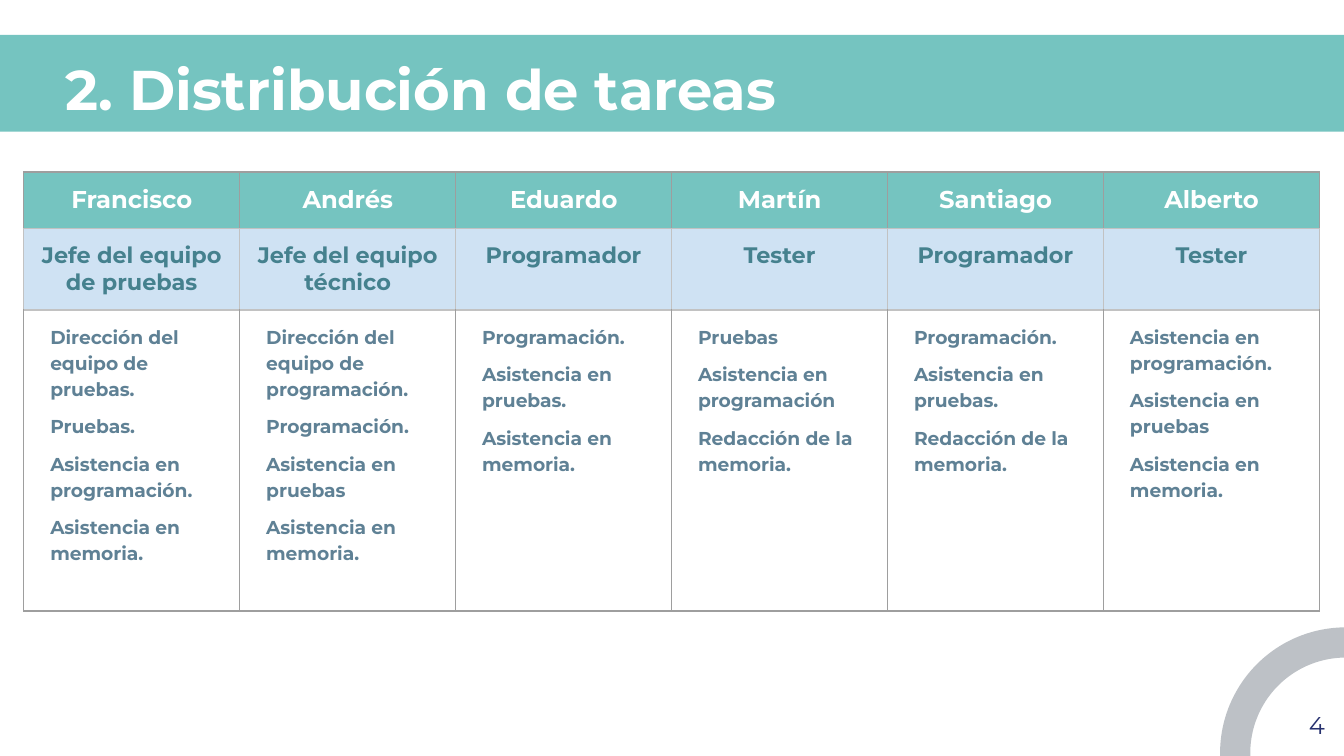
import pptx
import pptx.dml.color
import pptx.enum.shapes
import pptx.enum.text
import pptx.oxml.ns
import pptx.util
from lxml import etree

Cm = pptx.util.Cm
Pt = pptx.util.Pt
RGBColor = pptx.dml.color.RGBColor
SHAPE = pptx.enum.shapes.MSO_SHAPE
ALIGN = pptx.enum.text.PP_ALIGN
qn = pptx.oxml.ns.qn

TEAL = RGBColor(0x75, 0xC4, 0xC0)
SILVER = RGBColor(0xBD, 0xC1, 0xC6)
WHITE = RGBColor(0xFF, 0xFF, 0xFF)
PALE_BLUE = RGBColor(0xCF, 0xE2, 0xF3)
DARK_TEAL = RGBColor(0x45, 0x81, 0x8E)
SLATE = RGBColor(0x5F, 0x81, 0x95)
NAVY = RGBColor(0x27, 0x31, 0x6F)
GREY = RGBColor(0x9E, 0x9E, 0x9E)
LIGHT_GREY = RGBColor(0xC2, 0xC2, 0xC2)

MEMBERS = [
    ("Francisco", "Jefe del equipo de pruebas",
     ["Dirección del equipo de pruebas.", "Pruebas.",
      "Asistencia en programación.", "Asistencia en memoria."]),
    ("Andrés", "Jefe del equipo técnico",
     ["Dirección del equipo de programación.", "Programación.",
      "Asistencia en pruebas", "Asistencia en memoria."]),
    ("Eduardo", "Programador",
     ["Programación.", "Asistencia en pruebas.", "Asistencia en memoria."]),
    ("Martín", "Tester",
     ["Pruebas", "Asistencia en programación", "Redacción de la memoria."]),
    ("Santiago", "Programador",
     ["Programación.", "Asistencia en pruebas.", "Redacción de la memoria."]),
    ("Alberto", "Tester",
     ["Asistencia en programación.", "Asistencia en pruebas",
      "Asistencia en memoria."]),
]
ROW_HEIGHTS = [1.07, 1.54, 5.69]


def write(tf, lines, size, color, bold=False, align=ALIGN.LEFT,
          indent=0, spacing=None, gap=0):
    """Fill a text frame with one paragraph per line; gap is in points."""
    for i, line in enumerate(lines):
        p = tf.paragraphs[0] if i == 0 else tf.add_paragraph()
        p.alignment = align
        if indent:
            p._p.get_or_add_pPr().set("marL", str(Cm(indent)))
        if spacing:
            p.line_spacing = spacing
        if gap and i:
            p.space_before = Pt(gap)
        r = p.add_run()
        r.text = line
        r.font.name = "Montserrat"
        r.font.size = Pt(size)
        r.font.bold = bold
        r.font.color.rgb = color


class Deck:
    margin = Cm(0.25)
    border = Pt(0.75)

    def __init__(self, s):
        self.s = s

    def shape(self, kind, x, y, w, h, color, adjustments=()):
        sp = self.s.shapes.add_shape(kind, Cm(x), Cm(y), Cm(w), Cm(h))
        sp.shadow.inherit = False
        sp.fill.solid()
        sp.fill.fore_color.rgb = color
        sp.line.fill.background()
        for i, value in enumerate(adjustments):
            sp.adjustments[i] = value

    def text(self, line, x, y, w, h, **style):
        tf = self.s.shapes.add_textbox(Cm(x), Cm(y), Cm(w), Cm(h)).text_frame
        tf.word_wrap = True
        tf.margin_left = tf.margin_right = self.margin
        tf.margin_top = tf.margin_bottom = self.margin
        write(tf, [line], **style)

    def table(self, rows, x, y, w, heights):
        frame = self.s.shapes.add_table(
            len(rows), len(rows[0]), Cm(x), Cm(y), Cm(w), Cm(sum(heights)))
        table = frame.table
        table.first_row = table.horz_banding = False
        for column in table.columns:
            column.width = Cm(w / len(rows[0]))
        for row, height in zip(table.rows, heights):
            row.height = Cm(height)
        return table

    def cell(self, cell, lines, fill, edges, **style):
        """Edges are the left, right, top and bottom border colours."""
        cell.margin_left = cell.margin_right = self.margin
        cell.margin_top = cell.margin_bottom = self.margin
        tcPr = cell._tc.get_or_add_tcPr()
        for side, color in zip("LRTB", edges):
            ln = etree.SubElement(tcPr, qn(f"a:ln{side}"), w=str(self.border))
            solid = etree.SubElement(ln, qn("a:solidFill"))
            etree.SubElement(solid, qn("a:srgbClr"), val=str(color))
        if fill is None:
            cell.fill.background()
        else:
            cell.fill.solid()
            cell.fill.fore_color.rgb = fill
        write(cell.text_frame, lines, bold=True, **style)


def main():
    prs = pptx.Presentation()
    prs.slide_width, prs.slide_height = Cm(25.4), Cm(14.29)
    deck = Deck(prs.slides.add_slide(prs.slide_layouts[6]))

    deck.shape(SHAPE.RECTANGLE, -0.43, 0.66, 26.26, 1.83, TEAL)
    deck.shape(SHAPE.BLOCK_ARC, 23.06, 11.86, 4.75, 4.75, SILVER,
               (106.77, 163.22, 0.12))
    deck.text("2. Distribución de tareas", 0.98, 0.79, 21.5, 1.6,
              size=30, color=WHITE, bold=True)

    rows = [
        [[name] for name, _, _ in MEMBERS],
        [[role] for _, role, _ in MEMBERS],
        [tasks for _, _, tasks in MEMBERS],
    ]
    formats = [
        dict(fill=TEAL, edges=(GREY, GREY, GREY, LIGHT_GREY),
             size=13, color=WHITE, align=ALIGN.CENTER),
        dict(fill=PALE_BLUE, edges=(LIGHT_GREY,) * 4,
             size=12, color=DARK_TEAL, align=ALIGN.CENTER),
        dict(fill=None, edges=(GREY, GREY, LIGHT_GREY, GREY),
             size=10, color=SLATE, indent=0.25, spacing=1.15, gap=6),
    ]
    table = deck.table(rows, 0.45, 3.25, 24.49, ROW_HEIGHTS)
    for i, (row, style) in enumerate(zip(rows, formats)):
        for j, lines in enumerate(row):
            deck.cell(table.cell(i, j), lines, **style)

    deck.text("4", 23.77, 13.18, 1.52, 1.09,
              size=13, color=NAVY, align=ALIGN.RIGHT)
    prs.save("out.pptx")


if __name__ == "__main__":
    main()
